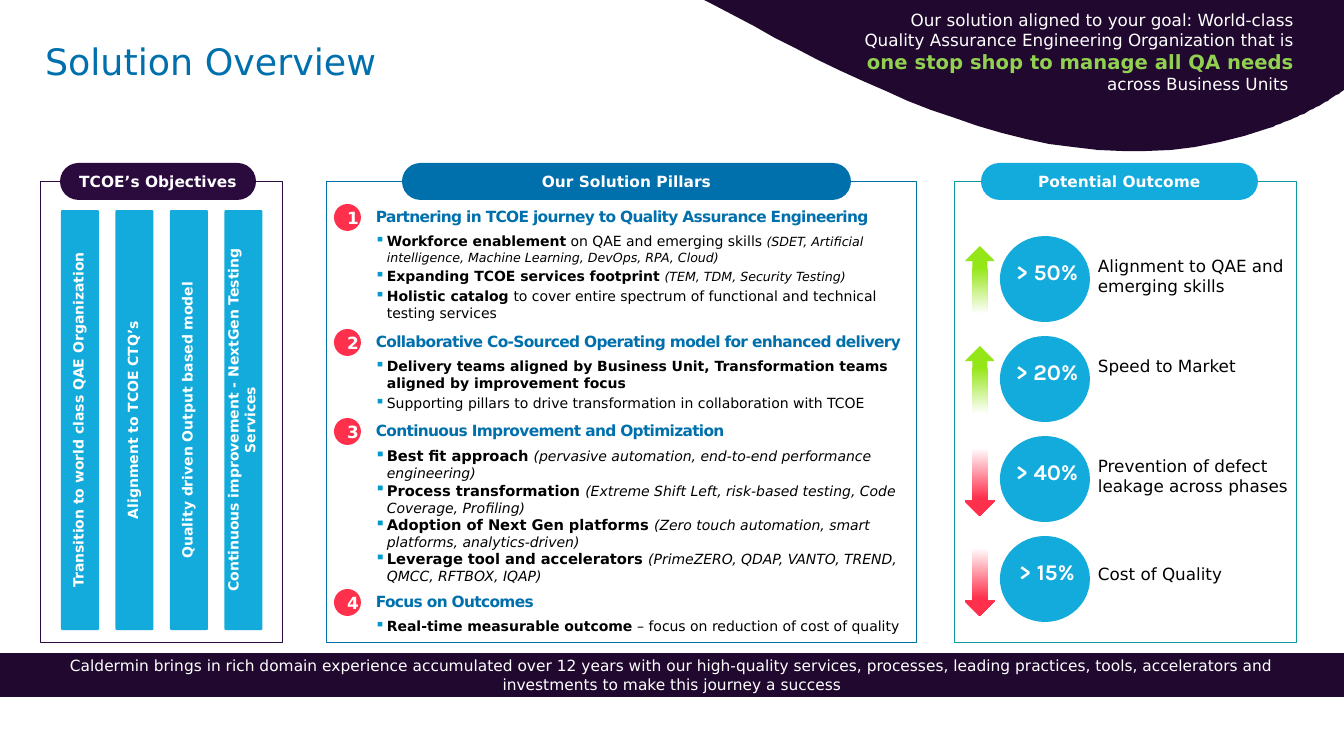
from lxml import etree
from pptx import Presentation
from pptx import util as u
from pptx.dml.color import RGBColor
from pptx.enum import shapes, text
from pptx.oxml.ns import qn

PX = 914400 / 100.8  # EMU in one px
W, H = 1344, 756
C = dict(white="FFFFFF", black="000000", night="20082E", plum="2B0A3D", blue="0070AD",
         sky="12ABDB", teal="0F999C", bullet="009ACC", lime="92D050", green="95E616", red="FF304C")
SHAPE, ALIGN, ANCHOR = shapes.MSO_SHAPE, text.PP_ALIGN, text.MSO_ANCHOR

OBJECTIVES = ["Transition to world class QAE Organization", "Alignment to TCOE CTQ’s",
              "Quality driven Output based model", "Continuous improvement - NextGen Testing Services"]

# Each run: text, size, style (b bold, i italic)
PILLARS = [
    (202, "Partnering in TCOE journey to Quality Assurance Engineering", 2, [
        [("Workforce enablement", 10, "b"), (" on QAE and emerging skills ", 10, ""),
         ("(SDET, Artificial intelligence, Machine Learning, DevOps, RPA, Cloud)", 9, "i")],
        [("Expanding TCOE services footprint ", 10, "b"), ("(TEM, TDM, Security Testing)", 9, "i")],
        [("Holistic catalog ", 10, "b"),
         ("to cover entire spectrum of functional and technical testing services", 10, "")]]),
    (327, "Collaborative Co-Sourced Operating model for enhanced delivery", 2, [
        [("Delivery teams aligned by Business Unit, Transformation teams "
          "aligned by improvement focus", 10, "b")],
        [("Supporting pillars to drive transformation in collaboration with TCOE", 10, "")]]),
    (416, "Continuous Improvement and Optimization", 0, [
        [("Best fit approach ", 10.5, "b"),
         ("(pervasive automation, end-to-end performance engineering)", 10, "i")],
        [("Process transformation ", 10.5, "b"),
         ("(Extreme Shift Left, risk-based testing, Code Coverage, Profiling)", 10, "i")],
        [("Adoption of Next Gen platforms ", 10.5, "b"),
         ("(Zero touch automation, smart platforms, analytics-driven)", 10, "i")],
        [("Leverage tool and accelerators ", 10.5, "b"),
         ("(PrimeZERO, QDAP, VANTO, TREND, QMCC, RFTBOX, IQAP)", 10, "i")]]),
    (587, "Focus on Outcomes", 2, [
        [("Real-time measurable outcome ", 10, "b"),
         ("– focus on reduction of cost of quality", 10, "")]]),
]

# Value, label, whether it rises, label offset from the circle top
OUTCOMES = [("> 50%", "Alignment to QAE and emerging skills", True, 15),
            ("> 20%", "Speed to Market", True, 15),
            ("> 40%", "Prevention of defect leakage across phases", False, 15),
            ("> 15%", "Cost of Quality", False, 23)]


def px(*lengths):
    return [u.Emu(round(n * PX)) for n in lengths]


def rgb(name):
    return RGBColor.from_string(C[name])


def add_run(p, words, size, color, style="", font="DejaVu Sans"):
    r = p.add_run()
    r.text = words
    r.font.name, r.font.size = font, u.Pt(size)
    r.font.bold, r.font.italic = "b" in style, "i" in style
    r.font.color.rgb = rgb(color)
    return r


def add_text(slide, x, y, w, h, align=ALIGN.LEFT):
    tf = slide.shapes.add_textbox(*px(x, y, w, h)).text_frame
    tf.word_wrap = True
    tf.paragraphs[0].alignment = align
    return tf


def finish(sp, fill, line=None):
    sp.shadow.inherit = False
    if fill:
        sp.fill.solid()
        sp.fill.fore_color.rgb = rgb(fill)
    if line:
        sp.line.color.rgb = rgb(line)
        sp.line.width = u.Pt(0.25)
    else:
        sp.line.fill.background()
    return sp


def add_block(slide, kind, x, y, w, h, fill, line=None):
    return finish(slide.shapes.add_shape(kind, *px(x, y, w, h)), fill, line)


def label_block(sp, words, size, style="b", margins=None):
    tf = sp.text_frame
    tf.word_wrap, tf.vertical_anchor = True, ANCHOR.MIDDLE
    if margins:
        tf.margin_left, tf.margin_top, tf.margin_right, tf.margin_bottom = px(*margins)
    p = tf.paragraphs[0]
    p.alignment = ALIGN.CENTER
    add_run(p, words, size, "white", style)


def add_panel(slide, x, y, w, h, line, heading, pill_x, pill_w, color):
    add_block(slide, SHAPE.RECTANGLE, x, y, w, h, "white", line)
    pill = add_block(slide, SHAPE.ROUNDED_RECTANGLE, x + pill_x, y - 18, pill_w, 37, color)
    pill.adjustments[0] = 0.5
    label_block(pill, heading, 11, margins=(0, 0, 0, 0))


def bezier(a, b, c, d, steps=24):
    for k in range(1, steps + 1):
        t = k / steps
        s = 1 - t
        yield tuple(s**3 * i + 3 * s * s * t * j + 3 * s * t * t * m + t**3 * n
                    for i, j, m, n in zip(a, b, c, d))


def add_header(slide):
    tf = add_text(slide, 45, 44, 600, 60)
    tf.margin_left = tf.margin_top = 0
    tf.paragraphs[0].line_spacing = 0.9
    add_run(tf.paragraphs[0], "Solution Overview", 26, "blue")

    # Dark wave in the corner
    edge, low, tip = (1344, 90), (1269, 128), (712, 4)
    points = [(W, 0), edge, *bezier(edge, (1323, 105), (1299, 117), low),
              *bezier(low, (1072, 200), (876, 92), tip)]
    fb = slide.shapes.build_freeform(704, 0, scale=PX)
    fb.add_line_segments(points, close=True)
    finish(fb.convert_to_shape(), "night")

    p = add_text(slide, 843, 5, 461, 99, ALIGN.RIGHT).paragraphs[0]
    add_run(p, "Our solution aligned to your goal: World-class Quality Assurance "
               "Engineering Organization that is ", 12, "white")
    add_run(p, "one stop shop to manage all QA needs ", 14, "lime", "b")
    add_run(p, "across Business Units ", 12, "white")


def add_objectives(slide, x, y, w, h):
    add_panel(slide, x, y, w, h, "plum", "TCOE’s Objectives", 20, 196, "plum")
    length, thick = 420, 38
    for i, words in enumerate(OBJECTIVES):
        mid_x, mid_y = x + 40 + i * 54.5, y + 239
        bar = add_block(slide, SHAPE.ROUNDED_RECTANGLE, mid_x - length / 2,
                        mid_y - thick / 2, length, thick, "sky")
        bar.adjustments[0] = 0.04
        bar.rotation = 270
        label_block(bar, words, 10, margins=(7, 3, 7, 7))


def add_bullet(p):
    pPr = p._p.get_or_add_pPr()
    indent = px(12)[0]
    pPr.set("marL", str(indent))
    pPr.set("indent", str(-indent))
    color = etree.SubElement(pPr, qn("a:buClr"))
    etree.SubElement(color, qn("a:srgbClr")).set("val", C["bullet"])
    etree.SubElement(pPr, qn("a:buChar")).set("char", "▪")


def add_pillars(slide, x, y, w, h):
    add_panel(slide, x, y, w, h, "blue", "Our Solution Pillars", 76, 449, "blue")
    for n, (top, heading, gap, bullets) in enumerate(PILLARS, 1):
        badge = add_block(slide, SHAPE.OVAL, x + 8, top + 2, 27, 27, "red")
        label_block(badge, str(n), 12)
        p = add_text(slide, x + 40, top, 571, 29).paragraphs[0]
        add_run(p, heading, 11, "blue", "b").font._element.set("spc", "-50")
        tf = add_text(slide, x + 39, top + 26, 560, 35 * len(bullets))
        for i, runs in enumerate(bullets):
            p = tf.add_paragraph() if i else tf.paragraphs[0]
            add_bullet(p)
            if i and gap:
                p.space_before = u.Pt(gap)
            for words, size, style in runs:
                add_run(p, words, size, "black", style)


def add_arrow(slide, x, y, rises):
    kind = SHAPE.UP_ARROW if rises else SHAPE.DOWN_ARROW
    sp = add_block(slide, kind, x, y, 30, 68, None)
    sp.fill.gradient()
    sp.fill.gradient_angle = 270
    stops = [(0.32, "green"), (1, "white")] if rises else [(0, "white"), (0.74, "red")]
    for stop, (position, color) in zip(sp.fill.gradient_stops, stops):
        stop.position, stop.color.rgb = position, rgb(color)


def add_outcomes(slide, x, y, w, h):
    add_panel(slide, x, y, w, h, "teal", "Potential Outcome", 27, 277, "sky")
    for i, (value, words, rises, offset) in enumerate(OUTCOMES):
        top = y + 55 + 100 * i
        add_block(slide, SHAPE.OVAL, x + 46, top, 90, 86, "sky")
        tf = add_text(slide, x + 50, top + 17, 86, 37, ALIGN.CENTER)
        tf.word_wrap = False
        add_run(tf.paragraphs[0], value, 16, "white", "b", "Karla")
        p = add_text(slide, x + 134, top + offset, 211, 50).paragraphs[0]
        add_run(p, words, 12, "black")
        add_arrow(slide, x + 11, top + (10 if rises else 12), rises)


def add_footer(slide, x, y, w, h):
    sp = add_block(slide, SHAPE.RECTANGLE, x, y, w, h, "night")
    label_block(sp, "Caldermin brings in rich domain experience accumulated over 12 years with our "
                    "high-quality services, processes, leading practices, tools, accelerators and",
                11, "")
    p = sp.text_frame.add_paragraph()
    p.alignment = ALIGN.CENTER
    add_run(p, "investments to make this journey a success", 11, "white")


def main():
    prs = Presentation()
    prs.slide_width, prs.slide_height = px(W, H)
    slide = prs.slides.add_slide(prs.slide_layouts[6])
    add_header(slide)
    add_objectives(slide, 40, 181, 242, 461)
    add_pillars(slide, 326, 181, 590, 461)
    add_outcomes(slide, 954, 181, 342, 461)
    add_footer(slide, 0, 653, W, 44)
    prs.save("out.pptx")


if __name__ == "__main__":
    main()
